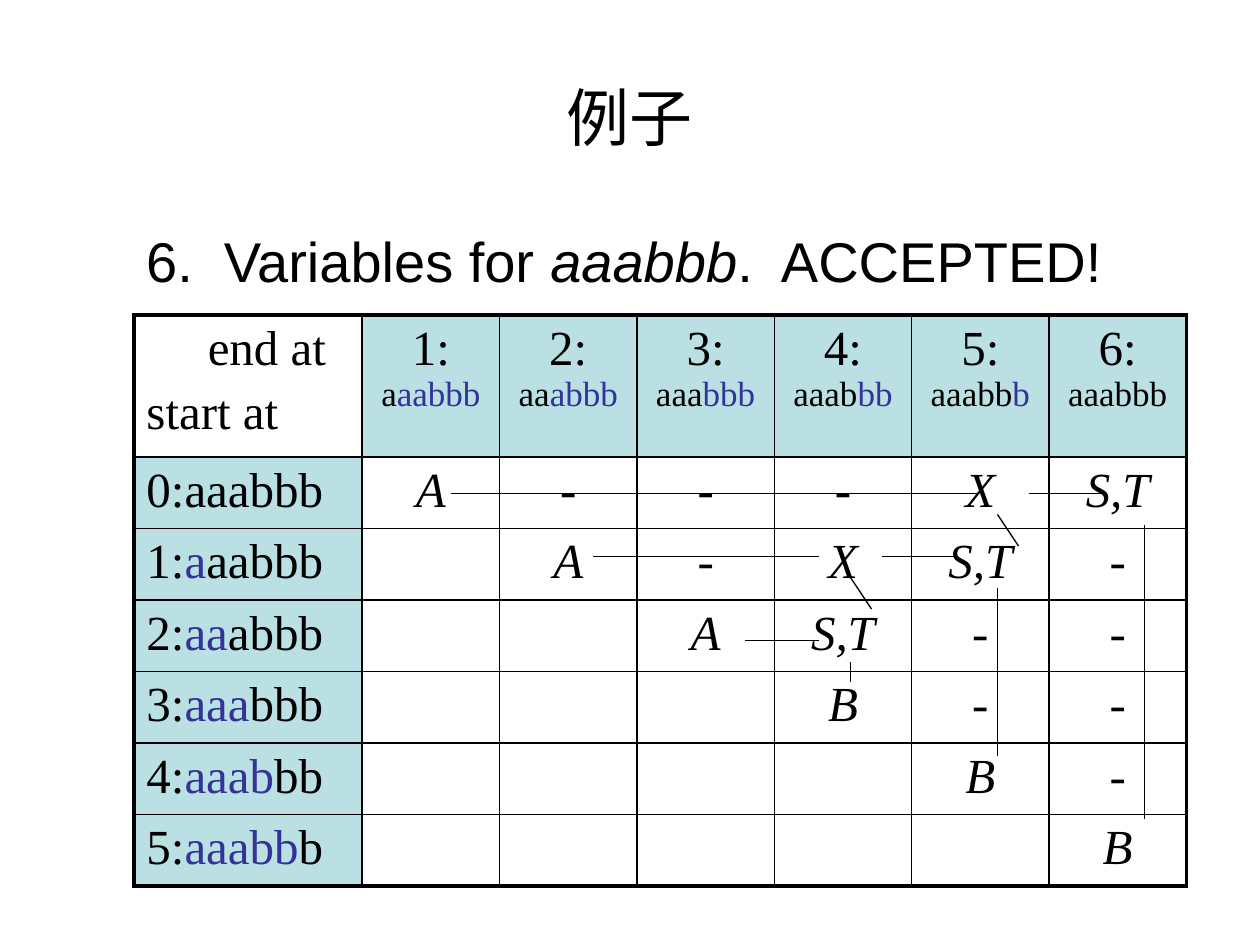
from lxml.etree import SubElement as Sub
from pptx import Presentation
from pptx.dml.color import RGBColor as RGB
from pptx.enum.shapes import MSO_CONNECTOR as Conn
from pptx.enum.text import MSO_ANCHOR as Anchor, PP_ALIGN as Align
from pptx.oxml import parse_xml
from pptx.oxml.ns import nsdecls, qn
from pptx.util import Pt

# Content
COLORS = {"text": "000000", "mark": "333399", "head": "BBE0E3"}
WORD = "aaabbb"
TITLE = "例子"
STEP = [("6.  Variables for ", False), (WORD, True), (".  ACCEPTED!", False)]
CORNER = ["end at", "start at"]
GRID = [
    ["A", "-", "-", "-", "X", "S,T"],
    ["", "A", "-", "X", "S,T", "-"],
    ["", "", "A", "S,T", "-", "-"],
    ["", "", "", "B", "-", "-"],
    ["", "", "", "", "B", "-"],
    ["", "", "", "", "", "B"],
]
LINKS = [  # x1, y1, x2, y2
    (426, 366, 468, 366), (486, 390, 486, 378),
    (339, 318, 468, 318), (498, 348, 486, 330),
    (504, 318, 546, 318), (570, 432, 570, 336),
    (258, 282, 558, 282), (582, 312, 570, 294),
    (588, 282, 630, 282), (654, 468, 654, 300),
]
SANS, SERIF = "Arial", "Times New Roman"
SIZE = len(WORD)
LEFT, TOP = 76.5, 180
HEAD_W, COL_W = 130.5, 78.5
HEAD_H, ROW_H = 81.2, 40.8


def color(name):
    return RGB.from_string(COLORS[name])


def style(para, face, size, align=Align.LEFT):
    para.alignment = align
    font = para.font
    font.name, font.size = face, Pt(size)
    font.color.rgb = color("text")


def indent(para, left, first=0):
    props = para._p.get_or_add_pPr()
    props.set("marL", str(Pt(left)))
    props.set("indent", str(Pt(first)))


def add_run(para, text, size=None, tint=None):
    if text:
        run = para.add_run()
        run.text = text
        if size:
            run.font.size = Pt(size)
        if tint:
            run.font.color.rgb = color(tint)


def add_box(x, y, w, h):
    frame = slide.shapes.add_textbox(Pt(x), Pt(y), Pt(w), Pt(h)).text_frame
    frame.word_wrap = True
    return frame


def add_borders(cell, row, col):
    outer = {"L": col == 0, "R": col == SIZE, "T": row == 0, "B": row == SIZE}
    props = cell._tc.get_or_add_tcPr()
    for i, (side, thick) in enumerate(outer.items()):
        width = Pt(2.25 if thick else 1)
        props.insert(i, parse_xml(
            f'<a:ln{side} {nsdecls("a")} w="{width}"><a:solidFill>'
            f'<a:srgbClr val="{COLORS["text"]}"/></a:solidFill></a:ln{side}>'))


def fill_cell(cell, row, col):
    para = cell.text_frame.paragraphs[0]
    if row == 0 and col == 0:
        indent(para, 35)
        para.text = CORNER[0]
        style(para, SERIF, 28)
        para = cell.text_frame.add_paragraph()
        para.text = CORNER[1]
        para.space_before = Pt(5.6)
        style(para, SERIF, 28)
    elif row == 0:
        style(para, SERIF, 28, Align.CENTER)
        add_run(para, f"{col}: ")
        add_run(para, WORD[:col], 20)
        add_run(para, WORD[col:], 20, "mark")
    elif col == 0:
        start = row - 1
        style(para, SERIF, 28)
        add_run(para, f"{start}:")
        add_run(para, WORD[:start], tint="mark")
        add_run(para, WORD[start:])
    elif GRID[row - 1][col - 1]:
        para.text = GRID[row - 1][col - 1]
        style(para, SERIF, 28, Align.CENTER)
        para.font.italic = para.text != "-"


deck = Presentation()
deck.slide_width, deck.slide_height = Pt(720), Pt(540)
slide = deck.slides.add_slide(deck.slide_layouts[6])

# Title
frame = add_box(36, 21.6, 648, 90)
frame.vertical_anchor = Anchor.MIDDLE
para = frame.paragraphs[0]
para.text = TITLE
style(para, SANS, 36, Align.CENTER)

# Step line
para = add_box(76.5, 126, 590, 324).paragraphs[0]
indent(para, 27, -27)
style(para, SANS, 32)
for text, slant in STEP:
    run = para.add_run()
    run.text, run.font.italic = text, slant

# Table
table = slide.shapes.add_table(
    SIZE + 1, SIZE + 1, Pt(LEFT), Pt(TOP),
    Pt(HEAD_W + SIZE * COL_W), Pt(HEAD_H + SIZE * ROW_H)).table
table.first_row = table.horz_banding = False
for i in range(SIZE + 1):
    table.columns[i].width = Pt(COL_W if i else HEAD_W)
    table.rows[i].height = Pt(ROW_H if i else HEAD_H)
for row in range(SIZE + 1):
    for col in range(SIZE + 1):
        cell = table.cell(row, col)
        if (row == 0) != (col == 0):
            cell.fill.solid()
            cell.fill.fore_color.rgb = color("head")
        else:
            cell.fill.background()
        add_borders(cell, row, col)
        fill_cell(cell, row, col)

# Links between matching cells
for ends in LINKS:
    link = slide.shapes.add_connector(Conn.STRAIGHT, *map(Pt, ends))
    link.line.width = Pt(0.75)
    link.line.color.rgb = color("text")
    Sub(link._element.spPr, qn("a:effectLst"))

deck.save("out.pptx")
